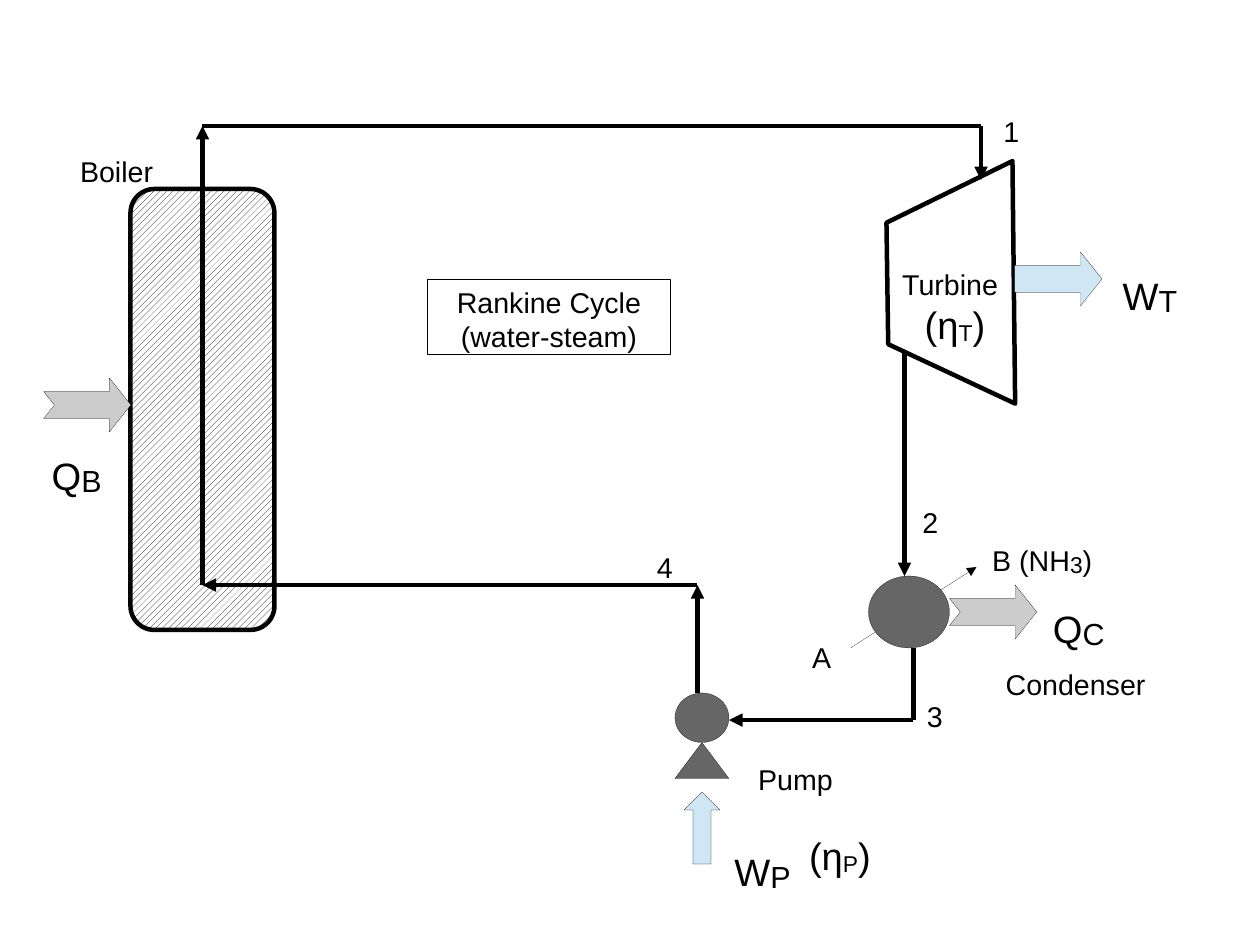
from lxml import etree
from pptx import Presentation
from pptx.dml.color import RGBColor
from pptx.enum import dml, shapes, text
from pptx.oxml.ns import qn
from pptx.util import Cm, Pt

BLACK, WHITE = "000000", "FFFFFF"
STEEL, HEAT, WORK = "666666", "CCCCCC", "CFE7F5"
THICK, HAIR = 2.83, 0.1
SHAPE = shapes.MSO_SHAPE


def rgb(value):
    return RGBColor.from_string(value)


def style(sp, fill, width):
    sp.shadow.inherit = False
    if fill:
        sp.fill.solid()
        sp.fill.fore_color.rgb = rgb(fill)
    else:
        sp.fill.background()
    sp.line.color.rgb = rgb(BLACK)
    sp.line.width = Pt(width)


prs = Presentation()
prs.slide_width, prs.slide_height = Cm(28), Cm(21)
s = prs.slides.add_slide(prs.slide_layouts[6])

# Boiler and turbine
boiler = s.shapes.add_shape(SHAPE.ROUNDED_RECTANGLE, Cm(2.9), Cm(4.2), Cm(3.2), Cm(9.8))
style(boiler, WHITE, THICK)
boiler.fill.patterned()
boiler.fill.pattern = dml.MSO_PATTERN.WIDE_UPWARD_DIAGONAL
boiler.fill.fore_color.rgb = rgb(BLACK)
boiler.fill.back_color.rgb = rgb(WHITE)

corners = [(22.5, 3.58), (22.56, 8.97), (19.74, 7.65), (19.7, 4.95)]
outline = [(Cm(x), Cm(y)) for x, y in corners]
fb = s.shapes.build_freeform(*outline[0])
fb.add_line_segments(outline[1:], close=True)
style(fb.convert_to_shape(), WHITE, THICK)

# Pipes: start, end, line width, arrow at the end
pipes = [
    (18.9, 14.4, 21.7, 12.6, HAIR, True),
    (4.5, 2.8, 21.8, 2.8, THICK, False),
    (4.5, 13, 4.5, 2.8, THICK, True),
    (21.8, 2.8, 21.8, 4, THICK, True),
    (20.1, 7.8, 20.1, 12.8, THICK, True),
    (20.3, 14.4, 20.3, 16, THICK, False),
    (20.3, 16, 16.2, 16, THICK, True),
    (15.5, 15.4, 15.5, 13, THICK, True),
    (15.5, 13, 4.5, 13, THICK, True),
]
for x1, y1, x2, y2, width, arrow in pipes:
    pipe = s.shapes.add_connector(
        shapes.MSO_CONNECTOR.STRAIGHT, Cm(x1), Cm(y1), Cm(x2), Cm(y2))
    pipe.line.color.rgb = rgb(BLACK)
    pipe.line.width = Pt(width)
    if arrow:
        etree.SubElement(pipe.line._get_or_add_ln(), qn("a:tailEnd"), type="triangle")
    etree.SubElement(pipe._element.spPr, qn("a:effectLst"))

# Pump, condenser, and the heat and work arrows
parts = [
    (SHAPE.OVAL, 15, 15.4, 1.2, 1.1, STEEL, []),
    (SHAPE.ISOSCELES_TRIANGLE, 15, 16.5, 1.2, 0.8, STEEL, []),
    (SHAPE.OVAL, 19.3, 12.8, 1.8, 1.6, STEEL, []),
    (SHAPE.RIGHT_ARROW, 22.55, 5.6, 1.94, 1.2, WORK, [0.5, 0.4]),
    (SHAPE.UP_ARROW, 15.2, 17.6, 0.8, 1.6, WORK, [0.5, 0.5]),
    (SHAPE.NOTCHED_RIGHT_ARROW, 21.1, 13, 1.94, 1.2, HEAT, [0.5, 0.4]),
    (SHAPE.NOTCHED_RIGHT_ARROW, 0.97, 8.4, 1.94, 1.2, HEAT, [0.5, 0.4]),
]
for kind, x, y, w, h, fill, adjustments in parts:
    part = s.shapes.add_shape(kind, Cm(x), Cm(y), Cm(w), Cm(h))
    style(part, fill, HAIR)
    for i, value in enumerate(adjustments):
        part.adjustments[i] = value

title = s.shapes.add_shape(SHAPE.RECTANGLE, Cm(9.5), Cm(6.2), Cm(5.4), Cm(1.67))
style(title, None, HAIR)
tf = title.text_frame
tf.vertical_anchor = text.MSO_ANCHOR.TOP
tf.text = "Rankine Cycle\n(water-steam)"
for p in tf.paragraphs:
    p.alignment = text.PP_ALIGN.CENTER
    p.font.name, p.font.size = "Arial", Pt(18)
    p.font.color.rgb = rgb(BLACK)

# Labels: left, top, width, height, size, then base, subscript and closing text
labels = [
    (24.7, 5.6, 1.9, 1.32, 24, "W", "T", ""),
    (23.15, 13, 1.8, 1.32, 24, "Q", "C", ""),
    (0.9, 9.6, 1.8, 1.32, 24, "Q", "B", ""),
    (16.07, 18.4, 1.9, 1.32, 24, "W", "P", ""),
    (20.3, 6.55, 2, 1.24, 24, "(η", "T", ")"),
    (17.73, 18.35, 2, 1.24, 24, "(η", "P", ")"),
    (21.8, 11.7, 3.2, 1.07, 18, "B (NH", "3", ")"),
    (17.8, 14.1, 1, 0.97, 18, "A", "", ""),
    (19.8, 5.8, 2.8, 0.97, 18, "Turbine", "", ""),
    (22.1, 14.7, 4, 0.97, 18, "Condenser", "", ""),
    (16.6, 16.8, 2.4, 0.97, 18, "Pump", "", ""),
    (1.53, 3.3, 2.6, 0.97, 18, "Boiler", "", ""),
    (22.05, 2.4, 1, 0.97, 18, "1", "", ""),
    (20.25, 11.1, 1, 0.97, 18, "2", "", ""),
    (20.35, 15.4, 1, 0.97, 18, "3", "", ""),
    (14.35, 12.1, 1, 0.97, 18, "4", "", ""),
]
for x, y, w, h, size, base, sub, closing in labels:
    tf = s.shapes.add_textbox(Cm(x), Cm(y), Cm(w), Cm(h)).text_frame
    tf.word_wrap = True
    tf.auto_size = text.MSO_AUTO_SIZE.SHAPE_TO_FIT_TEXT
    p = tf.paragraphs[0]
    p.font.name, p.font.size = "Arial", Pt(size)
    p.font.color.rgb = rgb(BLACK)
    for piece in filter(None, (base, sub, closing)):
        r = p.add_run()
        r.text = piece
        if piece == sub:
            r.font.size = Pt(24.8 if closing else 33.1)
            r.font._element.set("baseline", "-4000")

prs.save("out.pptx")
